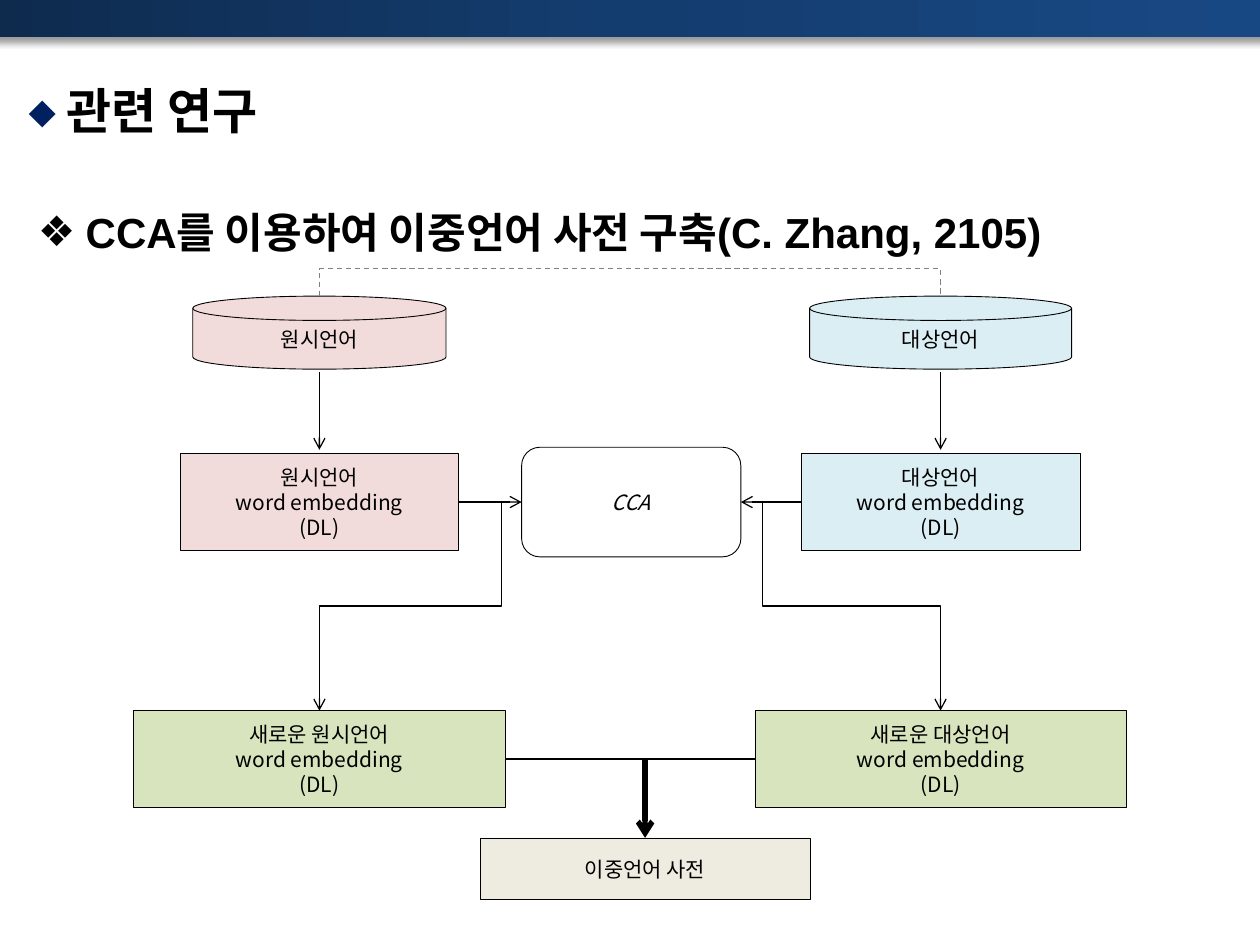
"""Build the related-work slide: a bilingual dictionary made with CCA."""
from dataclasses import dataclass

from lxml import etree
from pptx import Presentation
from pptx.dml.color import RGBColor
from pptx.enum.dml import MSO_LINE
from pptx.enum.shapes import MSO_CONNECTOR, MSO_SHAPE
from pptx.enum.text import MSO_ANCHOR, PP_ALIGN
from pptx.oxml.ns import qn
from pptx.util import Inches, Pt

RECT, ROUND = MSO_SHAPE.RECTANGLE, MSO_SHAPE.ROUNDED_RECTANGLE
DISK = MSO_SHAPE.FLOWCHART_MAGNETIC_DISK
STRAIGHT, ELBOW = MSO_CONNECTOR.STRAIGHT, MSO_CONNECTOR.ELBOW
CENTER, JUSTIFY = PP_ALIGN.CENTER, PP_ALIGN.JUSTIFY
TOP, MIDDLE = MSO_ANCHOR.TOP, MSO_ANCHOR.MIDDLE
DASH = MSO_LINE.DASH
COLS, ROWS = 100, 75


@dataclass(frozen=True)
class Theme:
    ink: str = "000000"
    muted: str = "808080"
    bullet: str = "002060"
    source: str = "F2DCDB"
    target: str = "DBEEF4"
    fresh: str = "D7E4BD"
    result: str = "EEECE1"
    paper: str = "FFFFFF"
    bar: tuple = ((0, "0E2B4E"), (50, "143D6F"), (100, "184884"))
    title_font: str = "Montserrat"
    body_font: str = "Arial"
    box_font: str = "Noto Sans CJK KR"
    title_size: int = 28
    body_size: int = 24
    box_size: int = 12


def rgb(value):
    return RGBColor.from_string(value)


def add(parent, tag, **attrs):
    return etree.SubElement(parent, qn(tag), {k: str(v) for k, v in attrs.items()})


class Deck:
    """Hold the style and the current slide, and draw each kind of element."""

    def __init__(self, theme):
        self.theme = theme
        self.prs = Presentation()
        self.prs.slide_width, self.prs.slide_height = Inches(10), Inches(7.5)
        self.s = self.prs.slides.add_slide(self.prs.slide_layouts[1])

    def x(self, col):
        return round(self.prs.slide_width * col / COLS)

    def y(self, row):
        return round(self.prs.slide_height * row / ROWS)

    def label(self, p, text, align, font, size, **styles):
        p.alignment = align
        r = p.add_run()
        r.text = text
        formats = {"name": font, "size": Pt(size), **styles}
        for name, value in formats.items():
            setattr(r.font, name, value)
        r.font.color.rgb = rgb(self.theme.ink)
        add(r._r.get_or_add_rPr(), "a:ea", typeface=self.theme.box_font)

    def heading(self, sp, at, text, char, indent, anchor, font, size,
                spacing=1, color=None):
        col, row, width, height = at
        place = {"left": self.x(col), "top": self.y(row),
                 "width": self.x(width), "height": self.y(height)}
        for name, value in place.items():
            setattr(sp, name, value)
        tf = sp.text_frame
        tf.vertical_anchor = anchor
        p = tf.paragraphs[0]
        p.line_spacing, p.space_before = spacing, Pt(0)
        pr = p._p.get_or_add_pPr()
        pr.set("marL", str(self.x(indent)))
        pr.set("indent", str(-self.x(indent)))
        if color:
            add(add(pr, "a:buClr"), "a:srgbClr", val=color)
        add(pr, "a:buFont", typeface=font)
        add(pr, "a:buChar", char=char)
        self.label(p, text, JUSTIFY, font, size, bold=True)

    def bar(self, col, row, width, height):
        sp = self.s.shapes.add_shape(RECT, self.x(col), self.y(row),
                                     self.x(width), self.y(height))
        sp.line.fill.background()
        pr = sp._element.spPr
        grad = etree.Element(qn("a:gradFill"), rotWithShape="1")
        stops = add(grad, "a:gsLst")
        for pos, color in self.theme.bar:
            add(add(stops, "a:gs", pos=pos * 1000), "a:srgbClr", val=color)
        add(grad, "a:lin", ang=0, scaled=0)
        pr.find(qn("a:prstGeom")).addnext(grad)
        shadow = add(add(pr, "a:effectLst"), "a:outerShdw", blurRad=Pt(4),
                     dist=Pt(3), dir=90 * 60000, rotWithShape=0)
        color = add(shadow, "a:srgbClr", val=self.theme.ink)
        add(color, "a:alpha", val=40000)

    def box(self, kind, mid, row, width, height, fill, lines,
            weight=0.25, italic=False):
        sp = self.s.shapes.add_shape(kind, self.x(mid - width / 2), self.y(row),
                                     self.x(width), self.y(height))
        sp.shadow.inherit = False
        sp.fill.solid()
        sp.fill.fore_color.rgb = rgb(fill)
        sp.line.color.rgb = rgb(self.theme.ink)
        sp.line.width = Pt(weight)
        tf = sp.text_frame
        tf.word_wrap, tf.vertical_anchor = True, MIDDLE
        for i, text in enumerate(lines):
            p = tf.add_paragraph() if i else tf.paragraphs[0]
            self.label(p, text, CENTER, self.theme.box_font,
                       self.theme.box_size, italic=italic)

    def connect(self, kind, x1, y1, x2, y2, color=None, weight=0.75,
                arrow=True, dash=None):
        sp = self.s.shapes.add_connector(kind, self.x(x1), self.y(y1),
                                         self.x(x2), self.y(y2))
        sp.line.color.rgb = rgb(color or self.theme.ink)
        sp.line.width = Pt(weight)
        if dash:
            sp.line.dash_style = dash
        pr = sp._element.spPr
        if arrow:
            add(pr.find(qn("a:ln")), "a:tailEnd", type="arrow")
        add(pr, "a:effectLst")
        return sp

    def elbow(self, x1, y1, x2, y2, turn, **style):
        """Leave vertically, cross at row turn, and arrive vertically."""
        mx, my, dx, dy = (x1 + x2) / 2, (y1 + y2) / 2, x2 - x1, y2 - y1
        sp = self.connect(ELBOW, mx - dy / 2, my + dx / 2,
                          mx + dy / 2, my - dx / 2, **style)
        pr = sp._element.spPr
        pr.find(qn("a:xfrm")).set("rot", str(90 * 60000))
        guides = pr.find(qn("a:prstGeom")).get_or_add_avLst()
        share = round((turn - y1) / dy * 100000)
        add(guides, "a:gd", name="adj1", fmla=f"val {share}")


def main():
    t = Theme()
    d = Deck(t)
    title, body = d.s.placeholders
    d.bar(-0.7, 0, 101.2, 2.9)
    d.heading(title, (1.2, 4.4, 97.6, 8.7), "관련 연구", "◆", 3.1, MIDDLE,
              t.title_font, t.title_size, color=t.bullet)
    d.heading(body, (2, 13.9, 96.1, 57.5),
              "CCA를 이용하여 이중언어 사전 구축(C. Zhang, 2105)", "❖", 3.8, TOP,
              t.body_font, t.body_size, spacing=1.5)

    left, right, cca, merge = 25.35, 74.65, 50.1, 51.2
    embed_row, new_row, half = 36, 56.4, 3.85
    embed_w, new_w, cca_w = 22.1, 29.5, 17.4
    axis, join = embed_row + half, new_row + half
    sides = ((left, 1, "원시언어", t.source, 20.1, 39.8),
             (right, -1, "대상언어", t.target, 20.8, 60.5))
    for mid, way, name, fill, disk_w, branch in sides:
        detail = ["word embedding", "(DL)"]
        d.box(DISK, mid, 23.5, disk_w, 5.8, fill, [name], weight=0.5)
        d.box(RECT, mid, embed_row, embed_w, 2 * half, fill, [name, *detail])
        d.box(RECT, mid, new_row, new_w, 2 * half, t.fresh,
              [f"새로운 {name}", *detail])
        d.connect(STRAIGHT, mid, 29.5, mid, 35.7)
        d.connect(STRAIGHT, mid + way * embed_w / 2, axis,
                  cca - way * cca_w / 2, axis)
        d.elbow(branch, axis, mid, new_row, 48.1)
    d.box(ROUND, cca, 35.5, cca_w, 8.7, t.paper, ["CCA"], 0.5, italic=True)
    d.elbow(left, 23.5, right, 23.4, 21.3, color=t.muted, arrow=False, dash=DASH)
    d.connect(STRAIGHT, left + new_w / 2, join, right - new_w / 2, join, arrow=False)
    d.box(RECT, merge, 66.5, 26.2, 4.9, t.result, ["이중언어 사전"])
    d.connect(STRAIGHT, merge, join, merge, 66.5, weight=3)
    d.prs.save("out.pptx")


if __name__ == "__main__":
    main()
